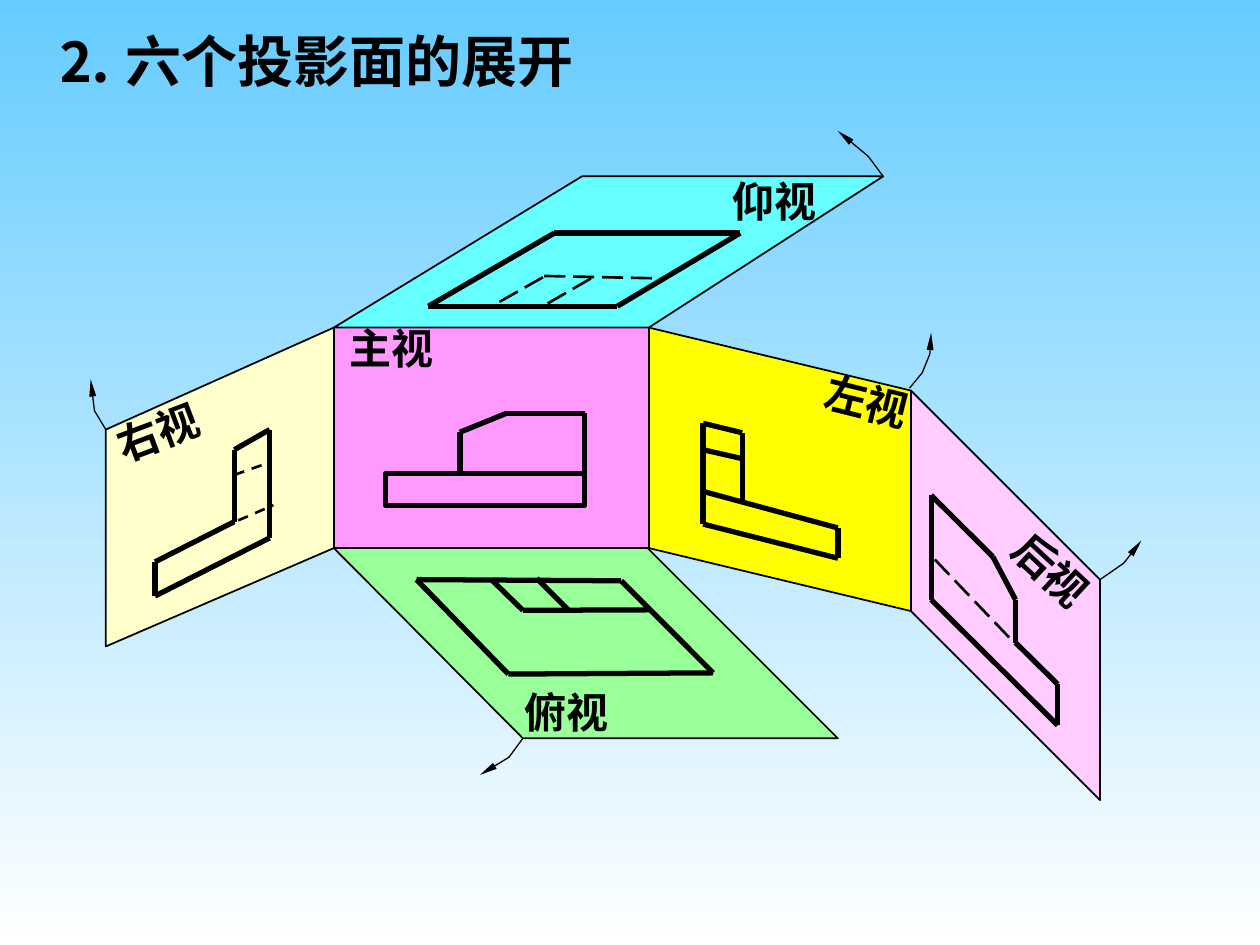
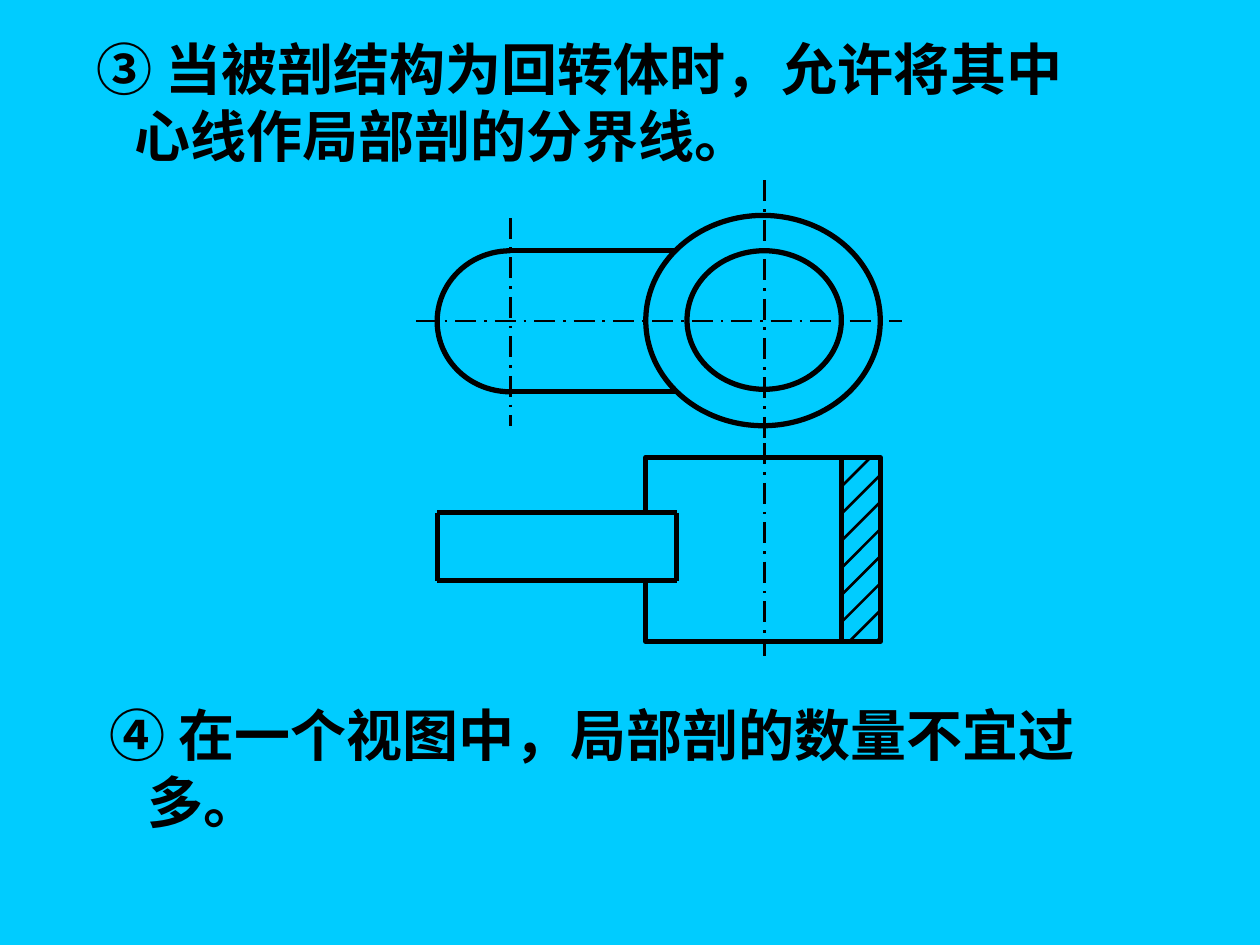
from itertools import pairwise

from lxml.etree import SubElement
from pptx import Presentation
from pptx.dml.color import RGBColor
from pptx.enum.dml import MSO_LINE
from pptx.enum.shapes import MSO_CONNECTOR, MSO_SHAPE
from pptx.enum.text import MSO_ANCHOR, MSO_AUTO_SIZE, PP_ALIGN
from pptx.oxml.ns import qn
from pptx.util import Pt

BLACK = RGBColor(0x00, 0x00, 0x00)
WHITE = RGBColor(0xFF, 0xFF, 0xFF)
SKY = RGBColor(0x66, 0xCC, 0xFF)
CYAN = RGBColor(0x00, 0xCC, 0xFF)
PINK = RGBColor(0xFF, 0xCC, 0xFF)
MAGENTA = RGBColor(0xFF, 0x99, 0xFF)
AQUA = RGBColor(0x66, 0xFF, 0xFF)
GREEN = RGBColor(0x99, 0xFF, 0x99)
CREAM = RGBColor(0xFF, 0xFF, 0xCC)
YELLOW = RGBColor(0xFF, 0xFF, 0x00)

SERIF = "Times New Roman"
SANS = "Noto Sans CJK SC"
THICK, MEDIUM, THIN, FINE = 3, 1.5, 1, 0.75

PANELS = [
    (PINK, [(520.6, 223.2), (628.6, 331.2), (628.6, 457.2), (520.6, 349.2)]),
    (AQUA, [(190.8, 187.2), (332.6, 100.8), (504.7, 100.8), (370.8, 187.2)]),
    (GREEN, [(190.8, 313.2), (298.8, 421.9), (478.8, 421.9), (370.1, 313.2)]),
    (CREAM, [(190.8, 187.2), (60.5, 245.5), (60.5, 369.4), (190.8, 313.2)]),
    (YELLOW, [(370.8, 187.2), (520.6, 223.2), (520.6, 349.2), (370.8, 313.2)]),
]

FRONT_VIEW = [
    [(262.8, 270.7), (262.8, 247), (289.4, 236.2), (334.1, 236.2), (334.1, 270.7)],
]
LEFT_VIEW = [
    [(401.8, 241.9), (401.8, 299.5), (478.8, 319), (478.8, 301.7), (401.8, 280.8)],
    [(401.8, 241.9), (424.1, 247.3), (424.1, 286.6)],
    [(401.8, 257), (424.1, 262.1)],
]
RIGHT_VIEW = [
    [(154.1, 245.5), (154.1, 307.4), (88.6, 340.6), (88.6, 321.1),
     (133.9, 298.1), (133.9, 257), (154.1, 245.5)],
]
TOP_VIEW = [
    [(238, 331.2), (355, 331.9), (407.5, 384.5), (290.5, 385.2), (238, 331.2)],
    [(280.8, 331.2), (298.8, 348.8), (370.8, 348.5)],
    [(306.7, 330.5), (324.7, 348.5)],
]
BOTTOM_VIEW = [
    [(244.8, 175), (352.8, 175), (423, 133.2), (316.8, 133.2), (244.8, 175)],
]
REAR_VIEW = [
    [(532.1, 283), (567.4, 318.2), (580.3, 342.7), (580.3, 367.2),
     (604.4, 391), (604.4, 414.4), (532.1, 342.7), (532.1, 283)],
]
HIDDEN_EDGES = [
    (MSO_LINE.DASH, [(136.1, 297.4), (156.2, 288.7)]),
    (MSO_LINE.DASH, [(133.9, 271.4), (154.1, 264.2)]),
    (MSO_LINE.LONG_DASH, [(311, 157.7), (377.3, 159.1)]),
    (MSO_LINE.LONG_DASH, [(310.3, 158.4), (283.7, 173.5)]),
    (MSO_LINE.LONG_DASH, [(337.7, 159.1), (310.3, 175)]),
    (MSO_LINE.LONG_DASH, [(576.7, 364.3), (531.4, 316.8)]),
]
LABELS = [
    ("主视", 184.8, 180.7, 77.8, 0),
    ("俯视", 288, 388.8, 72, 0),
    ("左视", 459.4, 211, 72, 13.9),
    ("右视", 54, 229, 72, 339.3),
    ("后视", 558.7, 307.4, 84.2, 43),
    ("仰视", 406.8, 96.5, 72, 0),
]
UNFOLD_ARROWS = [
    [(60.5, 245.5), (54, 234.7), (51.8, 216.7)],
    [(504.7, 100.8), (496.1, 89.3), (478.8, 74.9)],
    [(298.8, 421.9), (290.9, 432.7), (274.3, 442.8)],
    [(519.8, 221.8), (527, 213.1), (531.4, 202.3), (532.1, 190.1)],
    [(628.6, 331.2), (642.2, 321.8), (652.3, 308.9)],
]

RING_LEFT, RING_RIGHT = 369, 503
BODY_TOP, BODY_BOTTOM = 261.4, 366.5
BORE_RIGHT = 481
AXIS_X = 437
ARM_LEFT, ARM_RIGHT, ARM_ARC_X = 249.8, 386.6, 291.6
HATCH_FIRST, HATCH_STEP, HATCH_COUNT = 277.9, 15.5, 8


def style_text(tf, size, font, align=PP_ALIGN.LEFT, anchor=MSO_ANCHOR.MIDDLE):
    tf.auto_size = MSO_AUTO_SIZE.NONE
    tf.vertical_anchor = anchor
    for p in tf.paragraphs:
        p.alignment = align
        p.line_spacing = Pt(size * 1.2)
        p.space_before = Pt(0)
        for r in p.runs:
            r.font.size = Pt(size)
            r.font.bold = True
            r.font.name = font
            r.font.color.rgb = BLACK
            SubElement(r._r.rPr, qn("a:ea"), typeface=SANS)


def place(sp, x, y, w, h):
    sp.left, sp.top, sp.width, sp.height = Pt(x), Pt(y), Pt(w), Pt(h)


def add_title(s, text, x, y, w, h):
    sp = s.shapes.title
    place(sp, x, y, w, h)
    sp.text_frame.text = text
    sp.text_frame.word_wrap = True
    style_text(sp.text_frame, 32, SERIF)


def add_rule(sp, text, y, hang, anchor):
    place(sp, 41, y, 679, 84.2)
    tf = sp.text_frame
    tf.text = text
    tf.word_wrap = True
    pPr = tf.paragraphs[0]._p.get_or_add_pPr()
    pPr.set("marL", str(Pt(hang)))
    pPr.set("indent", str(Pt(-21.6)))
    SubElement(pPr, qn("a:buNone"))
    style_text(tf, 32, SANS, anchor=anchor)


def add_label(s, text, x, y, w, angle):
    sp = s.shapes.add_textbox(Pt(x), Pt(y), Pt(w), Pt(36))
    sp.rotation = angle
    tf = sp.text_frame
    tf.text = text
    tf.word_wrap = True
    style_text(tf, 24, SERIF, PP_ALIGN.CENTER)


def style_shape(sp, width, fill=None, color=BLACK):
    sp.shadow.inherit = False
    if fill is None:
        sp.fill.background()
    else:
        sp.fill.solid()
        sp.fill.fore_color.rgb = fill
    sp.line.color.rgb = color
    sp.line.width = Pt(width)


def add_preset(s, kind, x, y, w, h, width=THICK, fill=None, color=BLACK):
    sp = s.shapes.add_shape(kind, Pt(x), Pt(y), Pt(w), Pt(h))
    style_shape(sp, width, fill, color)
    return sp


def add_outline(s, points, width, fill=None):
    start, *rest = [(Pt(x), Pt(y)) for x, y in points]
    fb = s.shapes.build_freeform(*start)
    fb.add_line_segments(rest, close=fill is not None)
    sp = fb.convert_to_shape()
    style_shape(sp, width, fill)
    return sp


def add_arrow(s, points):
    sp = add_outline(s, points, FINE)
    SubElement(sp.line._get_or_add_ln(), qn("a:tailEnd"), type="triangle", w="sm", len="lg")


def add_strokes(s, points, width=THICK, dash=None):
    for (x1, y1), (x2, y2) in pairwise(points):
        cxn = s.shapes.add_connector(
            MSO_CONNECTOR.STRAIGHT, Pt(x1), Pt(y1), Pt(x2), Pt(y2))
        cxn.line.color.rgb = BLACK
        cxn.line.width = Pt(width)
        if dash is not None:
            cxn.line.dash_style = dash
        SubElement(cxn._element.spPr, qn("a:effectLst"))


def add_axis(s, start, end):
    add_strokes(s, [start, end], MEDIUM, MSO_LINE.LONG_DASH_DOT)


def add_hatching(s):
    span = RING_RIGHT - BORE_RIGHT
    for i in range(HATCH_COUNT):
        y = HATCH_FIRST + i * HATCH_STEP
        cut = max(0, y - BODY_BOTTOM)
        rise = min(span, y - BODY_TOP)
        add_strokes(s, [(BORE_RIGHT + cut, y - cut), (BORE_RIGHT + rise, y - rise)], MEDIUM)


def build_unfolding(prs):
    s = prs.slides.add_slide(prs.slide_layouts[5])
    fill = s.background.fill
    fill.gradient()
    fill.gradient_angle = 270
    for stop, color, position in zip(fill.gradient_stops, (SKY, WHITE), (0, 1)):
        stop.color.rgb = color
        stop.position = position
    add_title(s, "⒉ 六个投影面的展开", 25.2, 11.4, 345, 46)
    add_preset(s, MSO_SHAPE.RECTANGLE, 190.8, 187.2, 180, 126, THIN, MAGENTA)
    for color, points in PANELS:
        add_outline(s, points, THIN, color)
    add_preset(s, MSO_SHAPE.RECTANGLE, 220.3, 270.7, 113.8, 18)
    for view in (FRONT_VIEW, LEFT_VIEW, RIGHT_VIEW, TOP_VIEW, BOTTOM_VIEW, REAR_VIEW):
        for points in view:
            add_strokes(s, points)
    for dash, points in HIDDEN_EDGES:
        add_strokes(s, points, MEDIUM, dash)
    for label in LABELS:
        add_label(s, *label)
    for points in UNFOLD_ARROWS:
        add_arrow(s, points)


def build_partial_section(prs):
    s = prs.slides.add_slide(prs.slide_layouts[1])
    s.background.fill.solid()
    s.background.fill.fore_color.rgb = CYAN
    add_rule(s.shapes.title, "③ 当被剖结构为回转体时，允许将其中\v心线作局部剖的分界线。",
             16.1, 28.8, MSO_ANCHOR.MIDDLE)
    add_rule(s.placeholders[1], "④ 在一个视图中，局部剖的数量不宜过\v多。",
             396.5, 36, MSO_ANCHOR.TOP)

    ring_width = RING_RIGHT - RING_LEFT
    add_preset(s, MSO_SHAPE.OVAL, RING_LEFT, 123.1, ring_width, 120.2)
    add_preset(s, MSO_SHAPE.OVAL, 392.6, 143.3, 88.2, 79.2)
    add_preset(s, MSO_SHAPE.RECTANGLE, RING_LEFT, BODY_TOP, ring_width, BODY_BOTTOM - BODY_TOP)
    add_strokes(s, [(BORE_RIGHT, BODY_TOP), (BORE_RIGHT, BODY_BOTTOM)])
    for y in (143.3, 223.9):
        add_strokes(s, [(ARM_RIGHT, y), (ARM_ARC_X, y)])
    arc = add_preset(s, MSO_SHAPE.ARC, ARM_LEFT, 143.3, 2 * (ARM_ARC_X - ARM_LEFT), 80.6)
    arc.adjustments[0], arc.adjustments[1] = 54, 162

    add_preset(s, MSO_SHAPE.RECTANGLE, 364.3, 293, 10.1, 38.2, FINE, CYAN, CYAN)
    add_strokes(s, [(ARM_LEFT, 293), (ARM_RIGHT, 293), (ARM_RIGHT, 331.9),
                    (ARM_LEFT, 331.9), (ARM_LEFT, 293)])
    add_hatching(s)

    add_axis(s, (AXIS_X, 103), (AXIS_X, 260.6))
    add_axis(s, (AXIS_X, 253.4), (AXIS_X, 375.1))
    add_axis(s, (ARM_ARC_X, 124.6), (ARM_ARC_X, 243.4))
    add_axis(s, (237.6, 183.4), (515.5, 183.4))


def main():
    prs = Presentation()
    prs.slide_width, prs.slide_height = Pt(720), Pt(540)
    build_unfolding(prs)
    build_partial_section(prs)
    prs.save("out.pptx")


if __name__ == "__main__":
    main()
